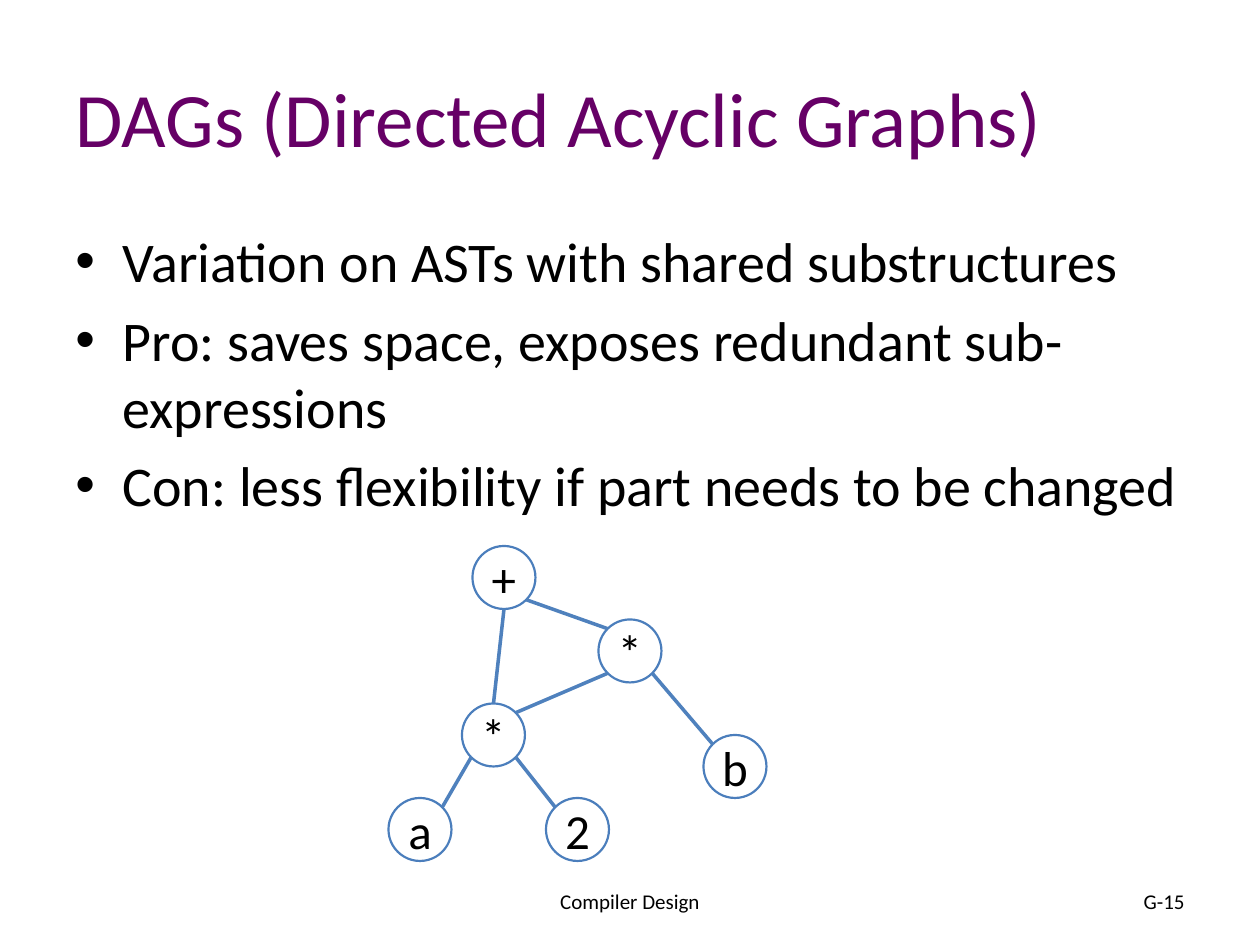
from dataclasses import dataclass
from math import cos, radians, sin

from lxml import etree
from pptx import Presentation
from pptx.dml.color import RGBColor
from pptx.enum import shapes, text
from pptx.oxml import ns
from pptx.util import Pt


@dataclass(frozen=True)
class Theme:
    font: str = "Calibri"
    plum: str = "660066"
    ink: str = "000000"
    ring: str = "4B7EBC"
    edge: str = "4F81BD"
    title: int = 44
    body: int = 32
    node: int = 28
    foot: int = 12


LEFT, MID, RIGHT = text.PP_ALIGN.LEFT, text.PP_ALIGN.CENTER, text.PP_ALIGN.RIGHT
SIZE = 36  # node diameter
# Angles of the points where edges meet a node, clockwise from the right
SIDES = {"SE": 45, "S": 90, "SW": 135, "NW": 225, "N": 270, "NE": 315}


class Deck:
    def __init__(self, theme):
        self.theme = theme
        self.prs = Presentation()
        self.prs.slide_width, self.prs.slide_height = Pt(720), Pt(540)
        self.slide = self.prs.slides.add_slide(self.prs.slide_layouts[6])

    def style(self, para, size, color, align):
        para.alignment = align
        para.font.name = self.theme.font
        para.font.size = Pt(size)
        para.font.color.rgb = RGBColor.from_string(color)

    def label(self, words, box, size, color=None, align=LEFT):
        frame = self.slide.shapes.add_textbox(*map(Pt, box)).text_frame
        frame.word_wrap = True
        frame.vertical_anchor = text.MSO_ANCHOR.MIDDLE
        frame.text = words
        self.style(frame.paragraphs[0], size, color or self.theme.ink, align)

    def bullets(self, items, box):
        size = self.theme.body
        frame = self.slide.shapes.add_textbox(*map(Pt, box)).text_frame
        frame.word_wrap = True
        frame.text = "\n".join(items)
        for para in frame.paragraphs:
            self.style(para, size, self.theme.ink, LEFT)
            para.space_before = Pt(size * 0.2)
            props = para._p.get_or_add_pPr()
            props.set("marL", str(Pt(27)))
            props.set("indent", str(Pt(-27)))
            font = etree.Element(ns.qn("a:buFont"), typeface="Arial")
            mark = etree.Element(ns.qn("a:buChar"), char="•")
            rest = props.find(ns.qn("a:defRPr"))
            rest.addprevious(font)
            rest.addprevious(mark)

    def node(self, sign, left, top):
        oval = self.slide.shapes.add_shape(
            shapes.MSO_SHAPE.OVAL, Pt(left), Pt(top), Pt(SIZE), Pt(SIZE))
        oval.shadow.inherit = False
        oval.fill.background()
        oval.line.color.rgb = RGBColor.from_string(self.theme.ring)
        oval.line.width = Pt(1.25)
        frame = oval.text_frame
        frame.margin_left = frame.margin_right = 0
        frame.margin_top = frame.margin_bottom = 0
        frame.vertical_anchor = text.MSO_ANCHOR.MIDDLE
        frame.text = sign
        self.style(frame.paragraphs[0], self.theme.node, self.theme.ink, MID)

    def edge(self, start, end):
        line = self.slide.shapes.add_connector(
            shapes.MSO_CONNECTOR.STRAIGHT, *map(Pt, start + end))
        line.line.color.rgb = RGBColor.from_string(self.theme.edge)
        line.line.width = Pt(2)
        etree.SubElement(line._element.spPr, ns.qn("a:effectLst"))


def rim(spot, side):
    """Point on the rim of the node at spot."""
    turn, half = radians(SIDES[side]), SIZE / 2
    return spot[0] + half + half * cos(turn), spot[1] + half + half * sin(turn)


theme = Theme()
deck = Deck(theme)

# Title and body
deck.label("DAGs (Directed Acyclic Graphs)", (36, 21.6, 648, 90),
           theme.title, theme.plum)
deck.bullets(["Variation on ASTs with shared substructures",
              "Pro: saves space, exposes redundant sub-expressions",
              "Con: less flexibility if part needs to be changed"],
             (36, 126, 648, 356.4))

# Footer
deck.label("Compiler Design", (246, 500.5, 228, 28.75), theme.foot, align=MID)
deck.label("G-15", (516, 500.5, 168, 28.75), theme.foot, align=RIGHT)

# Graph nodes: name, sign, left and top
nodes = {
    "sum": ("+", 270, 312),
    "outer": ("*", 342, 354),
    "inner": ("*", 264, 402),
    "a": ("a", 222, 456),
    "two": ("2", 312, 456),
    "b": ("b", 402, 420),
}
for sign, left, top in nodes.values():
    deck.node(sign, left, top)

# Graph edges: parent and side, child and side
for top, out, low, into in [
    ("sum", "SE", "outer", "NW"),
    ("sum", "S", "inner", "N"),
    ("outer", "SW", "inner", "NE"),
    ("outer", "SE", "b", "NW"),
    ("inner", "SW", "a", "NE"),
    ("inner", "SE", "two", "NW"),
]:
    deck.edge(rim(nodes[top][1:], out), rim(nodes[low][1:], into))

deck.prs.save("out.pptx")
